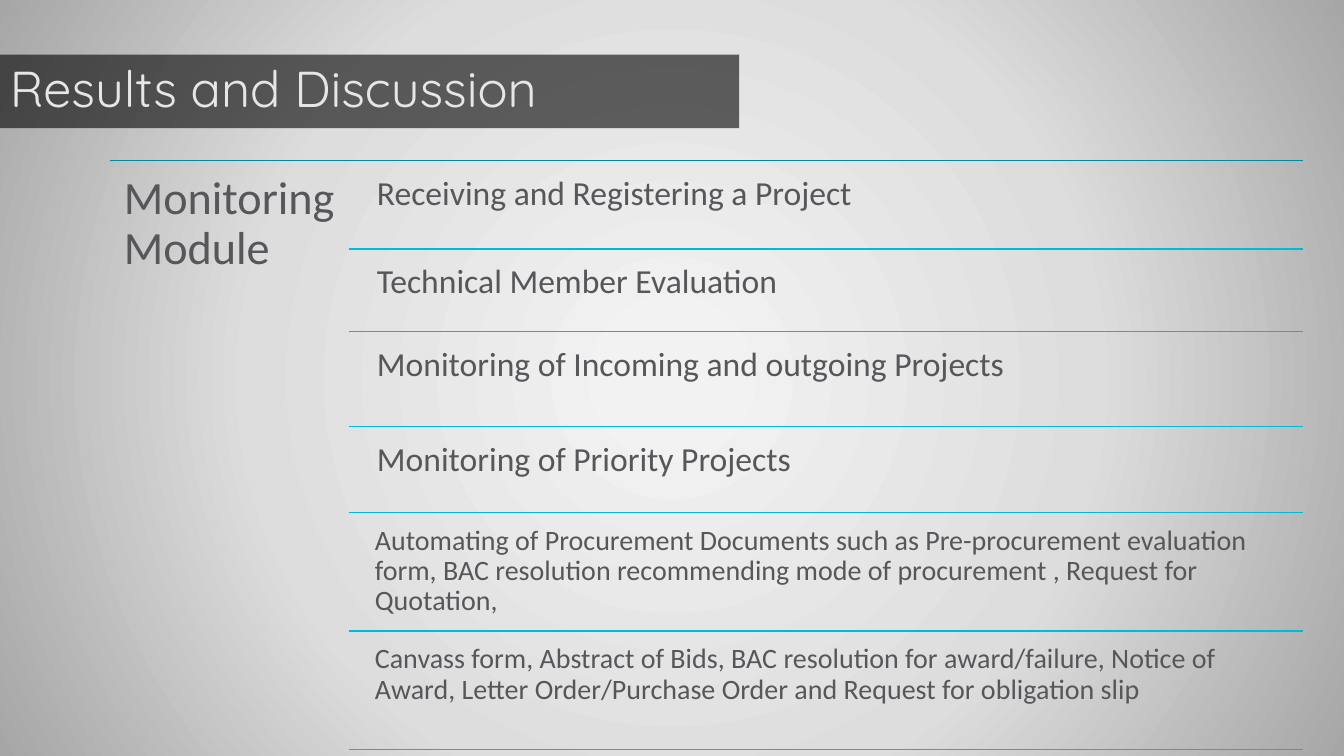
from dataclasses import dataclass

from lxml.etree import SubElement
from pptx import Presentation
from pptx.dml.color import RGBColor
from pptx.enum.shapes import MSO_CONNECTOR as Connector, MSO_SHAPE as Shape
from pptx.enum.text import MSO_ANCHOR as Anchor, PP_ALIGN as Align
from pptx.oxml import parse_xml
from pptx.oxml.ns import nsdecls, qn
from pptx.util import Emu, Pt

# Content: each item has its text, type size name and the y of the rule below it
TITLE = "Results and Discussion"
HEADING = "Monitoring Module"
ITEMS = [
    ("Receiving and Registering a Project", "item", 237),
    ("Technical Member Evaluation", "item", 316),
    ("Monitoring of Incoming and outgoing Projects", "item", 406),
    ("Monitoring of Priority Projects", "item", 488),
    ("Automating of Procurement Documents such as Pre-procurement evaluation form, "
     "BAC resolution recommending mode of procurement , Request for Quotation,",
     "detail", 601),
    ("Canvass form, Abstract of Bids, BAC resolution for award/failure, Notice of "
     "Award, Letter Order/Purchase Order and Request for obligation slip",
     "detail", 714),
]


@dataclass(frozen=True)
class Theme:
    backdrop: tuple = ((6, "F2F2F2"), (55, "DDDDDE"), (100, "A6A6A6"))
    bar: str = "000000"
    bar_opacity: int = 60
    title: str = "E7E6E6"
    ink: str = "57565A"
    top_rule: str = "008A9E"
    rule: str = "00BBD6"
    title_font: str = "Quicksand"
    body_font: str = "Calibri"
    title_size: int = 36
    heading_size: int = 33
    item_size: int = 24
    detail_size: int = 20


THEME = Theme()
SIZES = {"item": THEME.item_size, "detail": THEME.detail_size}
INSETS = {"item": 10, "detail": 8}

# Layout in px, 96 to the inch
WIDTH, HEIGHT = 1280, 720
BAR = (0, 52, 704, 70)
LEFT, RIGHT, TOP = 105, 1241, 153
RULE_LEFT, ITEM_LEFT, ITEM_GAP = 332, 349, 5
HEADING_INSET = 13


def px(value):
    return Emu(value * 9525)


def write(box, text, *, size, color, font=THEME.body_font, inset=None, anchor=Anchor.TOP):
    frame = box.text_frame
    frame.word_wrap = True
    frame.vertical_anchor = anchor
    if inset is not None:
        frame.margin_left = frame.margin_right = px(inset)
        frame.margin_top = frame.margin_bottom = px(inset)
    para = frame.paragraphs[0]
    para.alignment = Align.LEFT
    para.line_spacing = 0.9
    span = para.add_run()
    span.text = text
    span.font.name = font
    span.font.size = Pt(size)
    span.font.color.rgb = RGBColor.from_string(color)


def add_text(page, left, top, width, height, text, **style):
    box = page.shapes.add_textbox(px(left), px(top), px(width), px(height))
    write(box, text, **style)


def add_rule(page, left, y, color):
    rule = page.shapes.add_connector(Connector.STRAIGHT, px(left), px(y), px(RIGHT), px(y))
    rule.line.color.rgb = RGBColor.from_string(color)
    rule.line.width = Pt(1)
    SubElement(rule.element.spPr, qn("a:effectLst"))


def paint_backdrop(page):
    stops = "".join(
        f'<a:gs pos="{place * 1000}"><a:srgbClr val="{color}"/></a:gs>'
        for place, color in THEME.backdrop
    )
    page.element.cSld.insert(0, parse_xml(
        f'<p:bg {nsdecls("p", "a")}><p:bgPr><a:gradFill rotWithShape="1">'
        f'<a:gsLst>{stops}</a:gsLst><a:path path="circle">'
        '<a:fillToRect l="50000" t="50000" r="50000" b="50000"/></a:path>'
        '</a:gradFill><a:effectLst/></p:bgPr></p:bg>'
    ))


def add_title_bar(page):
    bar = page.shapes.add_shape(Shape.RECTANGLE, *map(px, BAR))
    bar.shadow.inherit = False
    bar.line.fill.background()
    bar.fill.solid()
    bar.fill.fore_color.rgb = RGBColor.from_string(THEME.bar)
    color = bar.element.spPr.find(qn("a:solidFill")).find(qn("a:srgbClr"))
    SubElement(color, qn("a:alpha"), val=str(THEME.bar_opacity * 1000))
    write(bar, TITLE, size=THEME.title_size, color=THEME.title,
          font=THEME.title_font, anchor=Anchor.MIDDLE)


def main():
    deck = Presentation()
    deck.slide_width, deck.slide_height = px(WIDTH), px(HEIGHT)
    page = deck.slides.add_slide(deck.slide_layouts[6])
    paint_backdrop(page)
    add_title_bar(page)

    # Heading column
    add_rule(page, LEFT, TOP, THEME.top_rule)
    add_text(page, LEFT, TOP, RULE_LEFT - LEFT, HEIGHT - TOP, HEADING,
             size=THEME.heading_size, color=THEME.ink, inset=HEADING_INSET)

    # Items, each between two rules
    above = TOP
    for text, kind, below in ITEMS:
        top = above + ITEM_GAP
        add_text(page, ITEM_LEFT, top, RIGHT - ITEM_LEFT, below - top, text,
                 size=SIZES[kind], color=THEME.ink, inset=INSETS[kind])
        add_rule(page, RULE_LEFT, below, THEME.rule)
        above = below

    deck.save("out.pptx")


if __name__ == "__main__":
    main()
